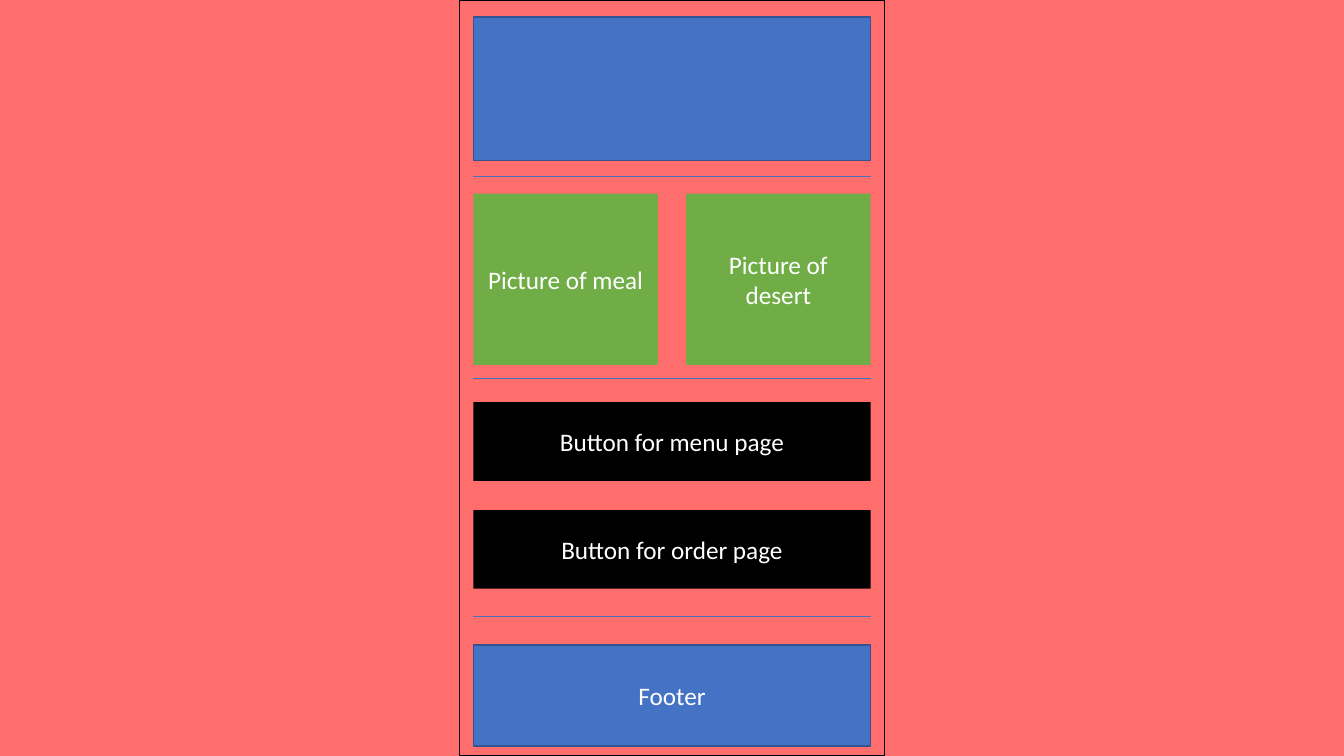
from collections import namedtuple

from pptx import Presentation
from pptx import util as u
from pptx.dml.color import RGBColor
from pptx.enum import shapes, text
from pptx.oxml.ns import qn
from lxml import etree

CORAL = RGBColor(0xFF, 0x6D, 0x6D)
BLUE = RGBColor(0x44, 0x72, 0xC4)
DARK_BLUE = RGBColor(0x32, 0x54, 0x91)
GREEN = RGBColor(0x70, 0xAD, 0x47)
BLACK = RGBColor(0, 0, 0)
WHITE = RGBColor(0xFF, 0xFF, 0xFF)

SLIDE_W, SLIDE_H = 13.33, 7.5
PHONE_W = 4.22
MARGIN = 0.14
GUTTER = 0.28

Box = namedtuple("Box", "left top width height")


def write(shape, words, size=18, font="Calibri", color=WHITE,
          align=text.PP_ALIGN.CENTER):
    frame = shape.text_frame
    frame.word_wrap = True
    frame.vertical_anchor = text.MSO_ANCHOR.MIDDLE
    paragraph = frame.paragraphs[0]
    paragraph.alignment = align
    run = paragraph.add_run()
    run.text = words
    run.font.size = u.Pt(size)
    run.font.name = font
    run.font.color.rgb = color


def add_block(slide, box, fill, outline=None, words=None):
    block = slide.shapes.add_shape(
        shapes.MSO_SHAPE.RECTANGLE, *(u.Inches(length) for length in box))
    block.shadow.inherit = False
    block.fill.solid()
    block.fill.fore_color.rgb = fill
    if outline is None:
        block.line.fill.background()
    else:
        block.line.color.rgb = outline
        block.line.width = u.Pt(1)
    if words:
        write(block, words)


def add_divider(slide, column, y):
    divider = slide.shapes.add_connector(
        shapes.MSO_CONNECTOR.STRAIGHT,
        u.Inches(column.left), u.Inches(y),
        u.Inches(column.left + column.width), u.Inches(y))
    divider.line.color.rgb = BLUE
    divider.line.width = u.Pt(0.5)
    etree.SubElement(divider._element.spPr, qn("a:effectLst"))


def add_pictures(slide, box, captions):
    """Split the box into equal columns, one for each caption."""
    width = (box.width - GUTTER * (len(captions) - 1)) / len(captions)
    for column, caption in enumerate(captions):
        left = box.left + column * (width + GUTTER)
        add_block(slide, Box(left, box.top, width, box.height), GREEN,
                  words=caption)


def add_buttons(slide, box, labels, height=0.78):
    """Stack the buttons from the top to the bottom of the box."""
    pitch = (box.height - height) / (len(labels) - 1)
    for row, label in enumerate(labels):
        add_block(slide, Box(box.left, box.top + row * pitch, box.width, height),
                  BLACK, words=label)


def add_phone_page(slide, phone):
    """Draw the phone frame and stack the page's regions inside it."""
    add_block(slide, phone, CORAL, BLACK)

    def region(top, height):
        return Box(phone.left + MARGIN, phone.top + top,
                   phone.width - 2 * MARGIN, height)

    add_block(slide, region(0.17, 1.42), BLUE, DARK_BLUE)
    add_pictures(slide, region(1.92, 1.7),
                 ["Picture of meal", "Picture of desert"])
    add_buttons(slide, region(3.99, 1.85),
                ["Button for menu page", "Button for order page"])
    add_block(slide, region(6.4, 1), BLUE, DARK_BLUE, "Footer")
    for y in (1.75, 3.75, 6.11):
        add_divider(slide, region(0, phone.height), phone.top + y)


def main():
    deck = Presentation()
    deck.slide_width = u.Inches(SLIDE_W)
    deck.slide_height = u.Inches(SLIDE_H)
    slide = deck.slides.add_slide(deck.slide_layouts[6])
    slide.background.fill.solid()
    slide.background.fill.fore_color.rgb = CORAL
    add_phone_page(slide, Box((SLIDE_W - PHONE_W) / 2, 0, PHONE_W, SLIDE_H))
    deck.save("out.pptx")


if __name__ == "__main__":
    main()
